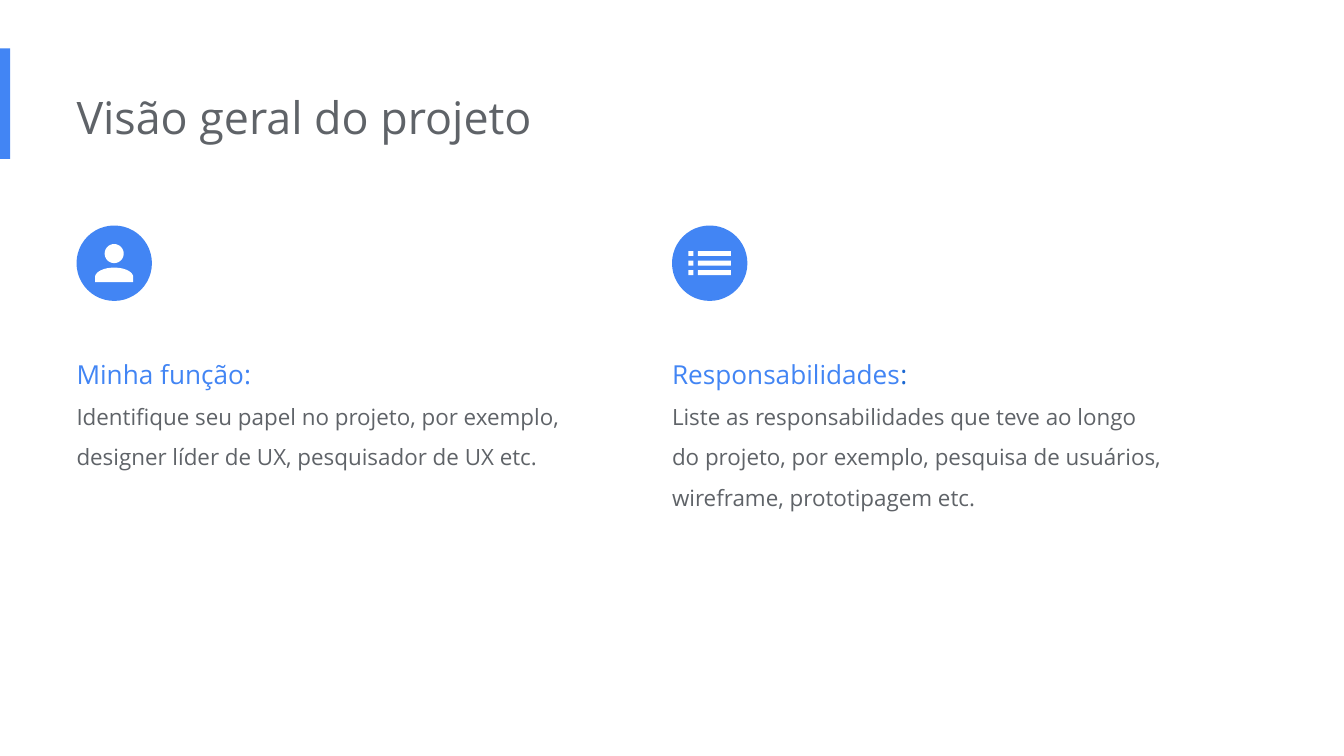
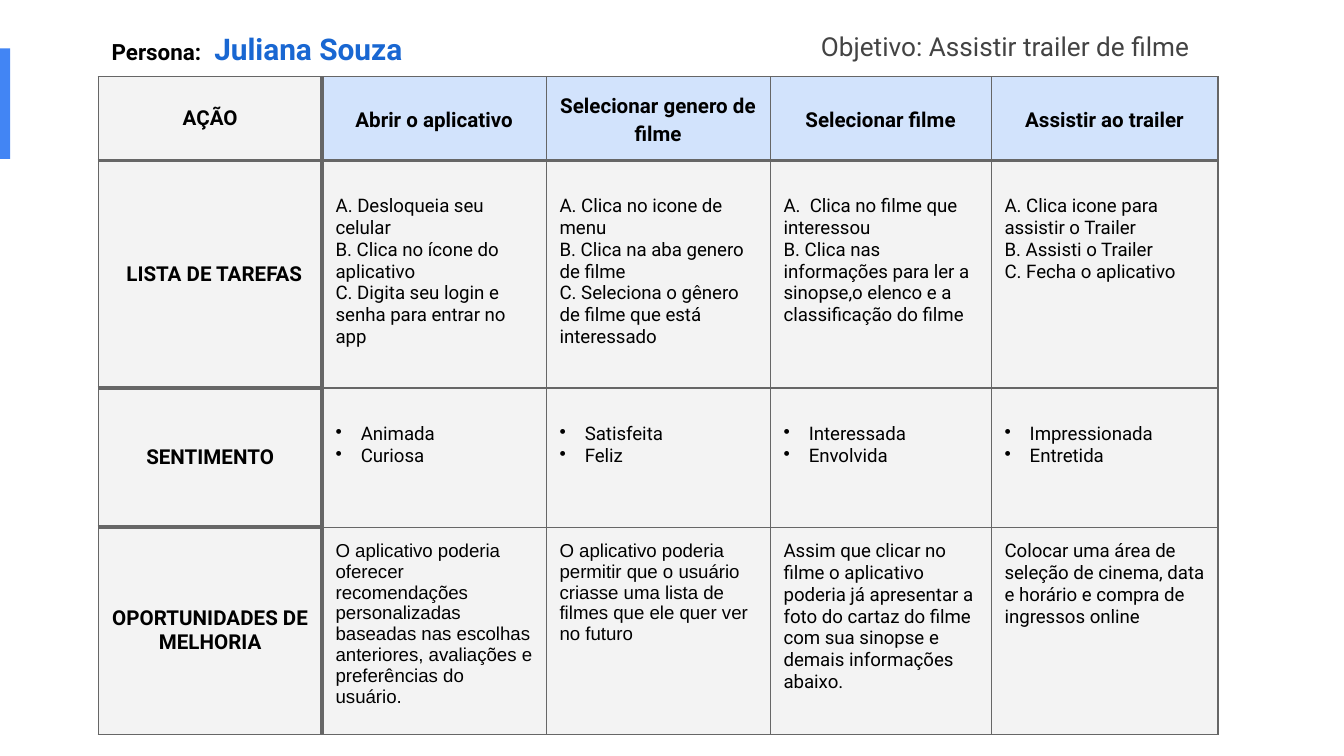
"""Builds a project overview slide and a user journey map slide."""
from dataclasses import dataclass
from math import cos, pi, sin

from lxml import etree
from pptx import Presentation
from pptx.dml.color import RGBColor
from pptx.enum.shapes import MSO_SHAPE
from pptx.enum.text import MSO_ANCHOR, MSO_AUTO_SIZE, PP_ALIGN
from pptx.oxml.ns import qn
from pptx.util import Pt

LEFT, CENTER = PP_ALIGN.LEFT, PP_ALIGN.CENTER
TOP, MIDDLE = MSO_ANCHOR.TOP, MSO_ANCHOR.MIDDLE
RECT, OVAL = MSO_SHAPE.RECTANGLE, MSO_SHAPE.OVAL
FIT = MSO_AUTO_SIZE.SHAPE_TO_FIT_TEXT
TWO_CONTENT, TITLE_ONLY = 3, 5


@dataclass(frozen=True)
class Theme:
    blue: str = "4285F4"
    deep_blue: str = "1967D2"
    pale_blue: str = "D2E3FC"
    gray: str = "5F6368"
    dark_gray: str = "434343"
    pale_gray: str = "F3F3F3"
    border: str = "666666"
    black: str = "000000"
    white: str = "FFFFFF"
    sans: str = "Open Sans"
    table_font: str = "Roboto"
    plain: str = "Arial"
    title: int = 24
    name: int = 16
    heading: int = 14
    body: int = 12
    label: int = 11
    cell: int = 10
    thin: float = 0.75
    thick: float = 2.25


T = Theme()

OVERVIEW_TITLE = "Visão geral do projeto"
OVERVIEW = [
    ("person", 41, "Minha função", T.blue,
     "Identifique seu papel no projeto, por exemplo, designer líder de UX, "
     "pesquisador de UX etc."),
    ("list", 360, "Responsabilidades", T.deep_blue,
     "Liste as responsabilidades que teve ao longo do projeto, por exemplo, "
     "pesquisa de usuários, wireframe, prototipagem etc."),
]

PERSONA = "Juliana Souza"
GOAL = "Objetivo: Assistir trailer de filme"
STEPS = ["AÇÃO", "Abrir o aplicativo", "Selecionar genero de filme",
         "Selecionar filme", "Assistir ao trailer"]
TASKS = [
    ["A. Desloqueia seu celular", "B. Clica no ícone do aplicativo",
     "C. Digita seu login e senha para entrar no app"],
    ["A. Clica no icone de menu", "B. Clica na aba genero de filme",
     "C. Seleciona o gênero de filme que está interessado"],
    ["A.  Clica no filme que interessou",
     "B. Clica nas informações para ler a sinopse,o elenco e a classificação do filme"],
    ["A. Clica icone para assistir o Trailer", "B. Assisti o Trailer",
     "C. Fecha o aplicativo"],
]
FEELINGS = [["Animada", "Curiosa"], ["Satisfeita", "Feliz"],
            ["Interessada", "Envolvida"], ["Impressionada", "Entretida"]]
IDEAS = [
    ["O aplicativo poderia oferecer recomendações personalizadas baseadas nas "
     "escolhas anteriores, avaliações e preferências do usuário."],
    ["O aplicativo poderia permitir que o usuário criasse uma lista de filmes "
     "que ele quer ver no futuro"],
    ["Assim que clicar no filme o aplicativo poderia já apresentar a foto do "
     "cartaz do filme com sua sinopse e demais informações abaixo."],
    ["Colocar uma área de seleção de cinema, data e horário e compra de "
     "ingressos online"],
]
JOURNEY = [
    ("LISTA DE TAREFAS", TASKS, dict(top=18.9)),
    ("SENTIMENTO", FEELINGS, dict(top=18.9, bullet="•", left=13.5, indent=-13.5)),
    ("OPORTUNIDADES DE MELHORIA", IDEAS, {}),
]
COL_WIDTHS = [120, 120, 120, 118.4, 121.6]
ROW_HEIGHTS = [44.5, 122, 74.5, 111]


def write(tf, paragraphs, font=T.table_font, size=T.cell, color=T.black,
          bold=False, align=LEFT, spacing=1.0, bullet=None, left=0, indent=0):
    """Write paragraphs, each a string or a list of (text, format changes)."""
    for i, parts in enumerate(paragraphs):
        p = tf.paragraphs[0] if i == 0 else tf.add_paragraph()
        p.alignment, p.line_spacing = align, spacing
        p.space_before = p.space_after = Pt(0)
        pPr = p._p.get_or_add_pPr()
        pPr.set("marL", str(Pt(left)))
        pPr.set("indent", str(Pt(indent)))
        if bullet:
            etree.SubElement(pPr, qn("a:buChar")).set("char", bullet)
        else:
            etree.SubElement(pPr, qn("a:buNone"))
        for text, changes in [(parts, {})] if isinstance(parts, str) else parts:
            look = dict(font=font, size=size, color=color, bold=bold) | changes
            r = p.add_run()
            r.text = text
            r.font.name, r.font.size = look["font"], Pt(look["size"])
            r.font.bold = look["bold"]
            r.font.color.rgb = RGBColor.from_string(look["color"])


def place(sp, box, insets=(0, 7.2, 7.2, 7.2)):
    """Move a text shape to a box and return its prepared text frame."""
    sp.left, sp.top, sp.width, sp.height = map(Pt, box)
    tf = sp.text_frame
    tf.margin_left, tf.margin_top, tf.margin_right, tf.margin_bottom = map(Pt, insets)
    tf.word_wrap, tf.auto_size, tf.vertical_anchor = True, FIT, TOP
    return tf


def paint(sp, color):
    """Give a shape a flat fill without line or shadow."""
    sp.shadow.inherit = False
    sp.fill.solid()
    sp.fill.fore_color.rgb = RGBColor.from_string(color)
    sp.line.fill.background()


def new_slide(prs, layout):
    """Add a slide carrying the accent bar."""
    s = prs.slides.add_slide(prs.slide_layouts[layout])
    paint(s.shapes.add_shape(RECT, 0, Pt(26), Pt(5.5), Pt(59.2)), T.blue)
    return s


def arc(cy, rx, ry, start, end, steps=32):
    """Return points along an elliptical arc centred on x = 0."""
    angles = [start + (end - start) * i / steps for i in range(steps + 1)]
    return [(rx * cos(a), cy + ry * sin(a)) for a in angles]


def bar(x0, x1, cy, half=1.3):
    """Return the corners of a horizontal bar."""
    return [(x0, cy - half), (x1, cy - half), (x1, cy + half), (x0, cy + half)]


ICONS = {
    "person": [arc(-5.1, 5.1, 5.1, 0, 2 * pi),
               arc(7.5, 10.2, 5.1, pi, 2 * pi) + [(10.2, 10.2), (-10.2, 10.2)]],
    "list": [bar(x0, x1, cy) for cy in (-5.1, 0, 5.1)
             for x0, x1 in ((-11.4, -8.7), (-6.3, 11.4))],
}


def add_icon(s, name, left, top=120.8, size=40.4):
    """Draw a white glyph on a blue disc."""
    paint(s.shapes.add_shape(OVAL, Pt(left), Pt(top), Pt(size), Pt(size)), T.blue)
    cx, cy = left + size / 2, top + size / 2
    outlines = [[(Pt(cx + x), Pt(cy + y)) for x, y in o] for o in ICONS[name]]
    fb = s.shapes.build_freeform(*outlines[0][0])
    for i, points in enumerate(outlines):
        if i:
            fb.move_to(*points[0])
        fb.add_line_segments(points[1:], close=True)
    paint(fb.convert_to_shape(), T.white)


def add_overview(prs):
    """Build the project overview slide."""
    s = new_slide(prs, TWO_CONTENT)
    write(place(s.shapes.title, (41, 41, 484.6, 44)), [OVERVIEW_TITLE],
          font=T.sans, size=T.title, color=T.gray)
    for idx, (icon, left, heading, colon, text) in enumerate(OVERVIEW, 1):
        add_icon(s, icon, left)
        head = dict(size=T.heading, color=T.blue)
        tf = place(s.placeholders[idx], (left, 176.4, 271.4, 76 + 22 * (idx - 1)))
        write(tf, [[(heading, head), (":", head | dict(color=colon))], text],
              font=T.sans, size=T.body, color=T.gray, spacing=1.5)


def set_borders(cell, row, col):
    """Draw the cell's borders, thick beside the header row and label column."""
    def across(edge):
        return edge == 1 or (col == 0 and 0 < edge < len(ROW_HEIGHTS))

    sides = {"L": col == 1, "R": col == 0, "T": across(row), "B": across(row + 1)}
    tcPr = cell._tc.get_or_add_tcPr()
    for i, (side, thick) in enumerate(sides.items()):
        ln = etree.Element(qn(f"a:ln{side}"), w=str(Pt(T.thick if thick else T.thin)))
        fill = etree.SubElement(ln, qn("a:solidFill"))
        etree.SubElement(fill, qn("a:srgbClr"), val=T.border)
        tcPr.insert(i, ln)


def set_cell(table, row, col, paragraphs, fill=T.pale_gray, anchor=TOP, top=7.2, **look):
    """Fill one table cell with text, colour and borders."""
    cell = table.cell(row, col)
    cell.margin_left = cell.margin_right = cell.margin_bottom = Pt(7.2)
    cell.margin_top = Pt(top)
    cell.vertical_anchor = anchor
    cell.fill.solid()
    cell.fill.fore_color.rgb = RGBColor.from_string(fill)
    set_borders(cell, row, col)
    write(cell.text_frame, paragraphs, **look)


def add_journey(prs):
    """Build the user journey map slide."""
    s = new_slide(prs, TITLE_ONLY)
    insets = (7.2, 3.6, 7.2, 3.6)
    write(place(s.shapes.title, (52.6, 13, 183, 46), insets),
          [[("Persona: ", {}), (" " + PERSONA, dict(size=T.name, color=T.deep_blue))]],
          size=T.body, bold=True)
    goal = s.shapes.add_textbox(0, 0, 0, 0)
    write(place(goal, (432.7, 13, 220.3, 24.5), insets), [GOAL],
          size=T.heading, color=T.dark_gray)

    table = s.shapes.add_table(len(ROW_HEIGHTS), len(COL_WIDTHS), Pt(52.6), Pt(41.2),
                               Pt(sum(COL_WIDTHS)), Pt(sum(ROW_HEIGHTS))).table
    table.first_row = table.horz_banding = False
    for column, width in zip(table.columns, COL_WIDTHS):
        column.width = Pt(width)
    for row, height in zip(table.rows, ROW_HEIGHTS):
        row.height = Pt(height)

    label = dict(size=T.label, bold=True, align=CENTER, anchor=MIDDLE)
    for col, step in enumerate(STEPS):
        header = dict(fill=T.pale_blue, spacing=1.15) if col else {}
        set_cell(table, 0, col, [step], **label, **header)
    for row, (name, cells, look) in enumerate(JOURNEY, 1):
        shift = dict(left=13.5, indent=-9) if cells is TASKS else {}
        set_cell(table, row, 0, [name], **label, **shift)
        for col, paragraphs in enumerate(cells, 1):
            font = T.plain if cells is IDEAS and col < 3 else T.table_font
            set_cell(table, row, col, paragraphs, font=font, **look)


def main():
    """Create and save the presentation."""
    prs = Presentation()
    prs.slide_width, prs.slide_height = Pt(720), Pt(405)
    add_overview(prs)
    add_journey(prs)
    prs.save("out.pptx")


if __name__ == "__main__":
    main()
